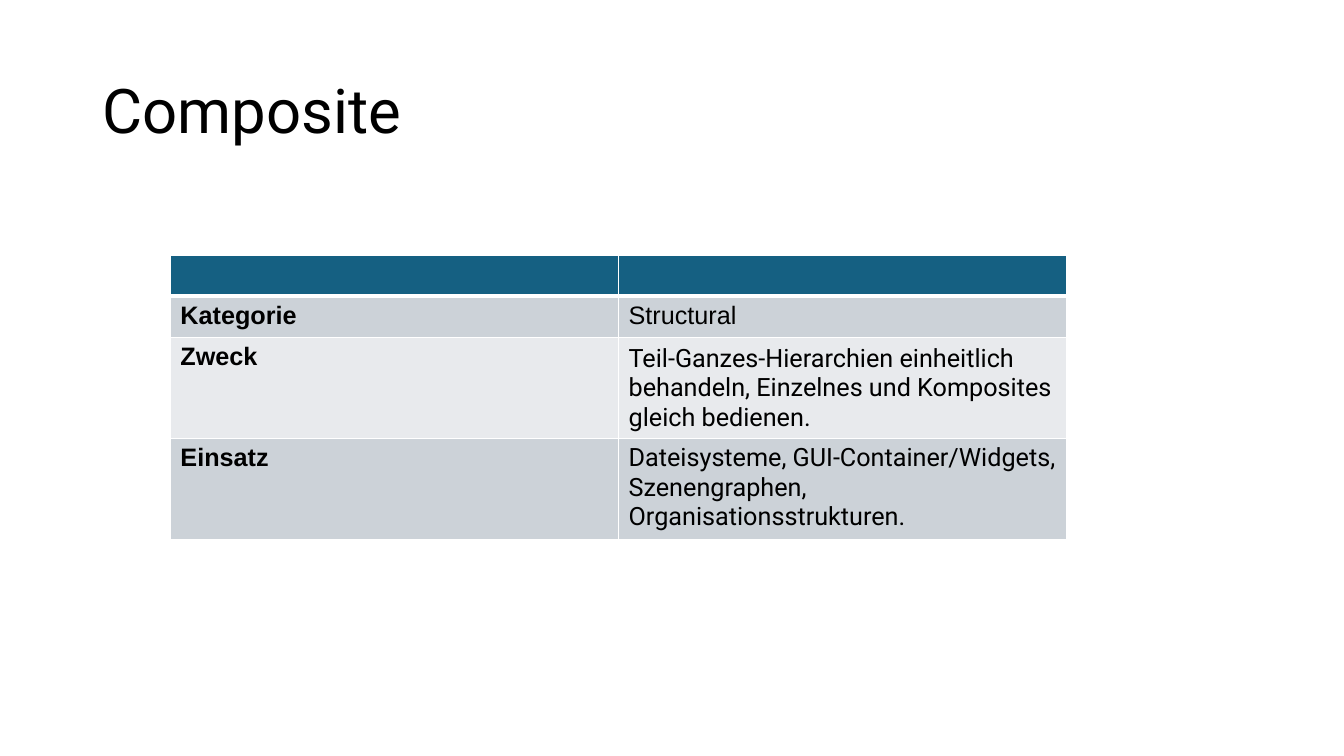
from lxml import etree
from pptx import Presentation
from pptx.dml.color import RGBColor
from pptx.enum.text import MSO_ANCHOR as Anchor
from pptx.oxml.ns import qn
from pptx.util import Inches, Pt

BLACK, WHITE = "000000", "FFFFFF"
HEADER, BAND_DARK, BAND_LIGHT = "156082", "CCD2D8", "E8EAED"


def rgb(value):
    return RGBColor.from_string(value)


class SlideBuilder:
    """Holds the text style and the current slide."""

    head_font = "Roboto"
    label_font = "Arial"
    title_size = 44
    body_size = 18

    def __init__(self, prs):
        self.slide = prs.slides.add_slide(prs.slide_layouts[6])

    def set_text(self, tf, text, font, size, bold=False):
        p = tf.paragraphs[0]
        p.text = text
        p.font.name, p.font.size, p.font.bold = font, Pt(size), bold
        p.font.color.rgb = rgb(BLACK)
        return p

    def title(self, text, left, top, width, height):
        box = self.slide.shapes.add_textbox(
            Inches(left), Inches(top), Inches(width), Inches(height))
        tf = box.text_frame
        tf.word_wrap = True
        tf.vertical_anchor = Anchor.MIDDLE
        p = self.set_text(tf, text, self.head_font, self.title_size)
        p.line_spacing = 0.9

    def borders(self, cell, top=1, bottom=1):
        tc_pr = cell._tc.get_or_add_tcPr()
        widths = {"a:lnL": 1, "a:lnR": 1, "a:lnT": top, "a:lnB": bottom}
        for i, (tag, width) in enumerate(widths.items()):
            ln = etree.Element(qn(tag), w=str(int(Pt(width))))
            fill = etree.SubElement(ln, qn("a:solidFill"))
            etree.SubElement(fill, qn("a:srgbClr"), val=WHITE)
            tc_pr.insert(i, ln)

    def table(self, rows, heights, left, top, width):
        frame = self.slide.shapes.add_table(
            len(rows), len(rows[0]), Inches(left), Inches(top),
            Inches(width), Inches(sum(heights)))
        table = frame.table
        for r, (row, height) in enumerate(zip(rows, heights)):
            table.rows[r].height = Inches(height)
            band = HEADER if r == 0 else BAND_DARK if r % 2 else BAND_LIGHT
            for c, (text, font) in enumerate(row):
                cell = table.cell(r, c)
                cell.fill.solid()
                cell.fill.fore_color.rgb = rgb(band)
                # Thick rule between header and body
                self.borders(cell, top=3 if r == 1 else 1,
                             bottom=3 if r == 0 else 1)
                self.set_text(cell.text_frame, text, font, self.body_size,
                              bold=c == 0)
        return table


def main():
    prs = Presentation()
    prs.slide_width, prs.slide_height = Inches(13.33), Inches(7.5)
    s = SlideBuilder(prs)

    # Title
    s.title("Composite", 0.92, 0.4, 11.5, 1.45)

    # Pattern profile
    label, text = s.label_font, s.head_font
    profile = [
        [("", label), ("", label)],
        [("Kategorie", label), ("Structural", label)],
        [("Zweck", label),
         ("Teil-Ganzes-Hierarchien einheitlich behandeln, "
          "Einzelnes und Komposites gleich bedienen.", text)],
        [("Einsatz", label),
         ("Dateisysteme, GUI-Container/Widgets, Szenengraphen, "
          "Organisationsstrukturen.", text)],
    ]
    table = s.table(profile, [0.41, 0.41, 0.98, 0.98], 1.69, 2.53, 8.89)
    table.cell(2, 1).vertical_anchor = Anchor.MIDDLE

    prs.save("out.pptx")


if __name__ == "__main__":
    main()
